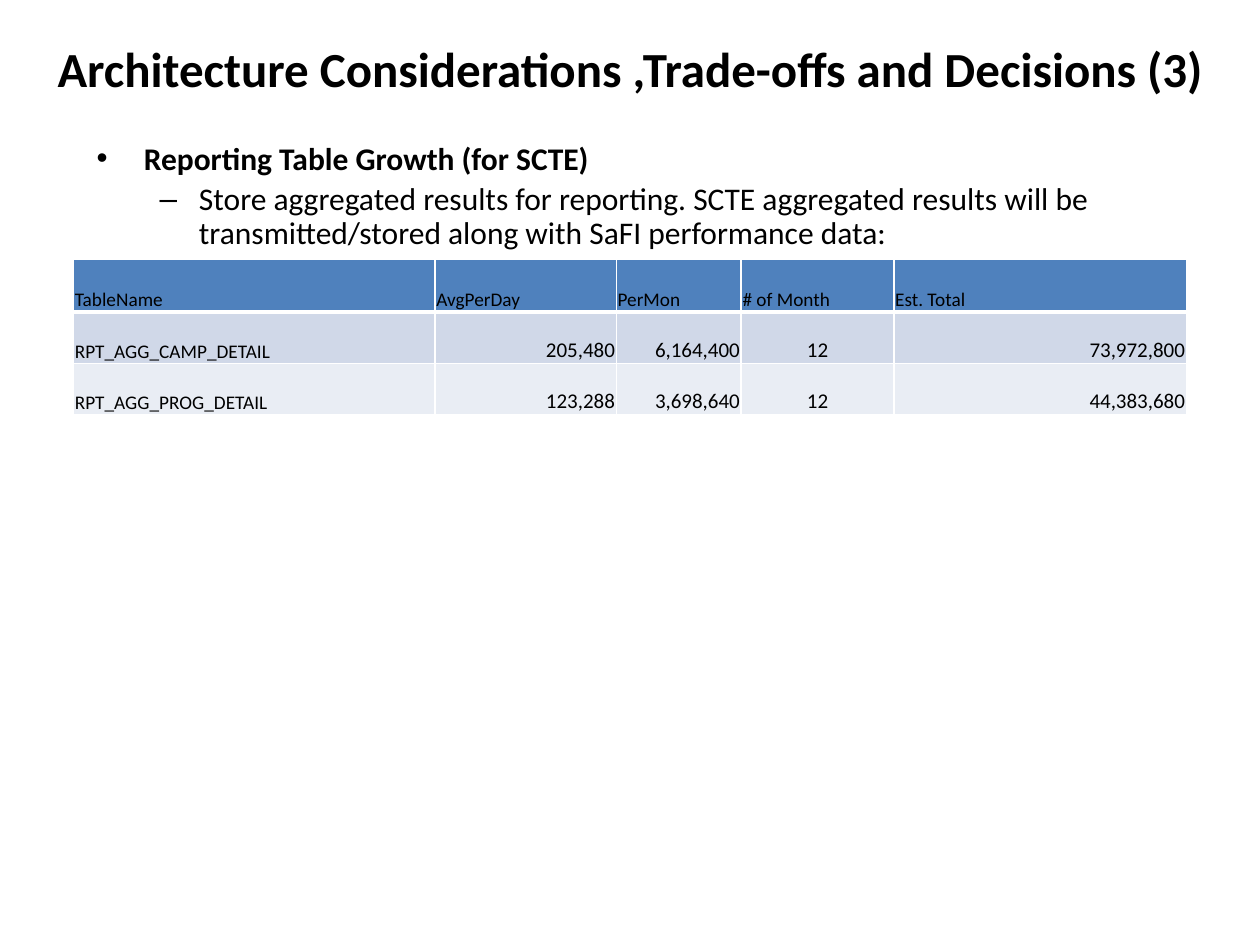
from dataclasses import dataclass
from lxml import etree
from pptx import Presentation
from pptx.dml.color import RGBColor
from pptx.enum.text import MSO_ANCHOR, MSO_AUTO_SIZE, PP_ALIGN
from pptx.oxml.ns import qn
from pptx.util import Pt

LEFT, CENTER, RIGHT = PP_ALIGN.LEFT, PP_ALIGN.CENTER, PP_ALIGN.RIGHT
MIDDLE, TOP, BOTTOM = MSO_ANCHOR.MIDDLE, MSO_ANCHOR.TOP, MSO_ANCHOR.BOTTOM
NO_AUTOFIT = MSO_AUTO_SIZE.NONE


@dataclass(frozen=True)
class Theme:
    font: str = "Calibri"
    ink: str = "000000"
    header: str = "4F81BD"
    bands: tuple = ("D0D8E8", "E9EDF4")
    rule: str = "FFFFFF"
    title_size: int = 28
    body_size: int = 18
    label_size: int = 11
    figure_size: int = 12


THEME = Theme()

TITLE = "Architecture Considerations ,Trade-offs and Decisions (3)"
POINTS = [
    (0, "Reporting Table Growth (for SCTE)"),
    (1, "Store aggregated results for reporting. SCTE aggregated results will be "
        "transmitted/stored along with SaFI performance data:"),
]
LEVELS = [
    {"bullet": "•", "indent": 27, "hanging": 27, "bold": True},
    {"bullet": "–", "indent": 58.5, "hanging": 22.5, "bold": False},
]
COLUMNS = [
    ("TableName", 206.6, LEFT),
    ("AvgPerDay", 103.6, RIGHT),
    ("PerMon", 71.4, RIGHT),
    ("# of Month", 87.2, CENTER),
    ("Est. Total", 167.2, RIGHT),
]
GROWTH = [
    ("RPT_AGG_CAMP_DETAIL", "205,480", "6,164,400", "12", "73,972,800"),
    ("RPT_AGG_PROG_DETAIL", "123,288", "3,698,640", "12", "44,383,680"),
]
ROW_HEIGHTS = [30, 29.2, 29.2]

TITLE_BOX = (0, 0, 720, 78)
BODY_BOX = (48, 78, 648, 72)
TABLE_ORIGIN = (42, 148.4)


def place(placeholder, box, anchor):
    placeholder.left, placeholder.top, placeholder.width, placeholder.height = map(Pt, box)
    frame = placeholder.text_frame
    frame.word_wrap = True
    frame.auto_size = NO_AUTOFIT
    frame.vertical_anchor = anchor
    return frame


def write(paragraph, words, size, align, bold=False):
    paragraph.alignment = align
    run = paragraph.add_run()
    run.text = words
    run.font.name = THEME.font
    run.font.size = Pt(size)
    run.font.bold = bold
    run.font.color.rgb = RGBColor.from_string(THEME.ink)


def set_bullet(paragraph, bullet, indent, hanging):
    props = paragraph._p.get_or_add_pPr()
    props.set("marL", str(Pt(indent)))
    props.set("indent", str(-Pt(hanging)))
    etree.SubElement(props, qn("a:buFont")).set("typeface", "Arial")
    etree.SubElement(props, qn("a:buChar")).set("char", bullet)


def set_borders(cell, top, bottom):
    props = cell._tc.get_or_add_tcPr()
    for side, width in (("L", 1), ("R", 1), ("T", top), ("B", bottom)):
        line = etree.SubElement(props, qn(f"a:ln{side}"), w=str(Pt(width)))
        fill = etree.SubElement(line, qn("a:solidFill"))
        etree.SubElement(fill, qn("a:srgbClr")).set("val", THEME.rule)


def add_points(frame):
    for index, (level, words) in enumerate(POINTS):
        paragraph = frame.paragraphs[0] if index == 0 else frame.add_paragraph()
        style = LEVELS[level]
        paragraph.level = level
        paragraph.line_spacing = 0.9
        paragraph.space_before = Pt(THEME.body_size * 0.2)
        set_bullet(paragraph, style["bullet"], style["indent"], style["hanging"])
        write(paragraph, words, THEME.body_size, LEFT, style["bold"])


def add_growth_table(slide):
    names, widths, aligns = zip(*COLUMNS)
    records = [names, *GROWTH]
    table = slide.shapes.add_table(
        len(records), len(names), *map(Pt, TABLE_ORIGIN),
        Pt(sum(widths)), Pt(sum(ROW_HEIGHTS))).table
    for column, width in zip(table.columns, widths):
        column.width = Pt(width)
    for row, height in zip(table.rows, ROW_HEIGHTS):
        row.height = Pt(height)

    for r, record in enumerate(records):
        is_header = r == 0
        color = THEME.header if is_header else THEME.bands[(r - 1) % 2]
        for c, words in enumerate(record):
            cell = table.cell(r, c)
            cell.margin_left = cell.margin_right = cell.margin_top = Pt(0.75)
            cell.margin_bottom = 0
            cell.vertical_anchor = BOTTOM
            set_borders(cell, 3 if r == 1 else 1, 3 if is_header else 1)
            cell.fill.solid()
            cell.fill.fore_color.rgb = RGBColor.from_string(color)
            size = THEME.label_size if is_header or c == 0 else THEME.figure_size
            write(cell.text_frame.paragraphs[0], words, size,
                  LEFT if is_header else aligns[c])


def main():
    deck = Presentation()
    deck.slide_width, deck.slide_height = Pt(720), Pt(540)
    slide = deck.slides.add_slide(deck.slide_layouts[1])
    title = place(slide.shapes.title, TITLE_BOX, MIDDLE)
    write(title.paragraphs[0], TITLE, THEME.title_size, CENTER, True)
    add_points(place(slide.placeholders[1], BODY_BOX, TOP))
    add_growth_table(slide)
    deck.save("out.pptx")


if __name__ == "__main__":
    main()
